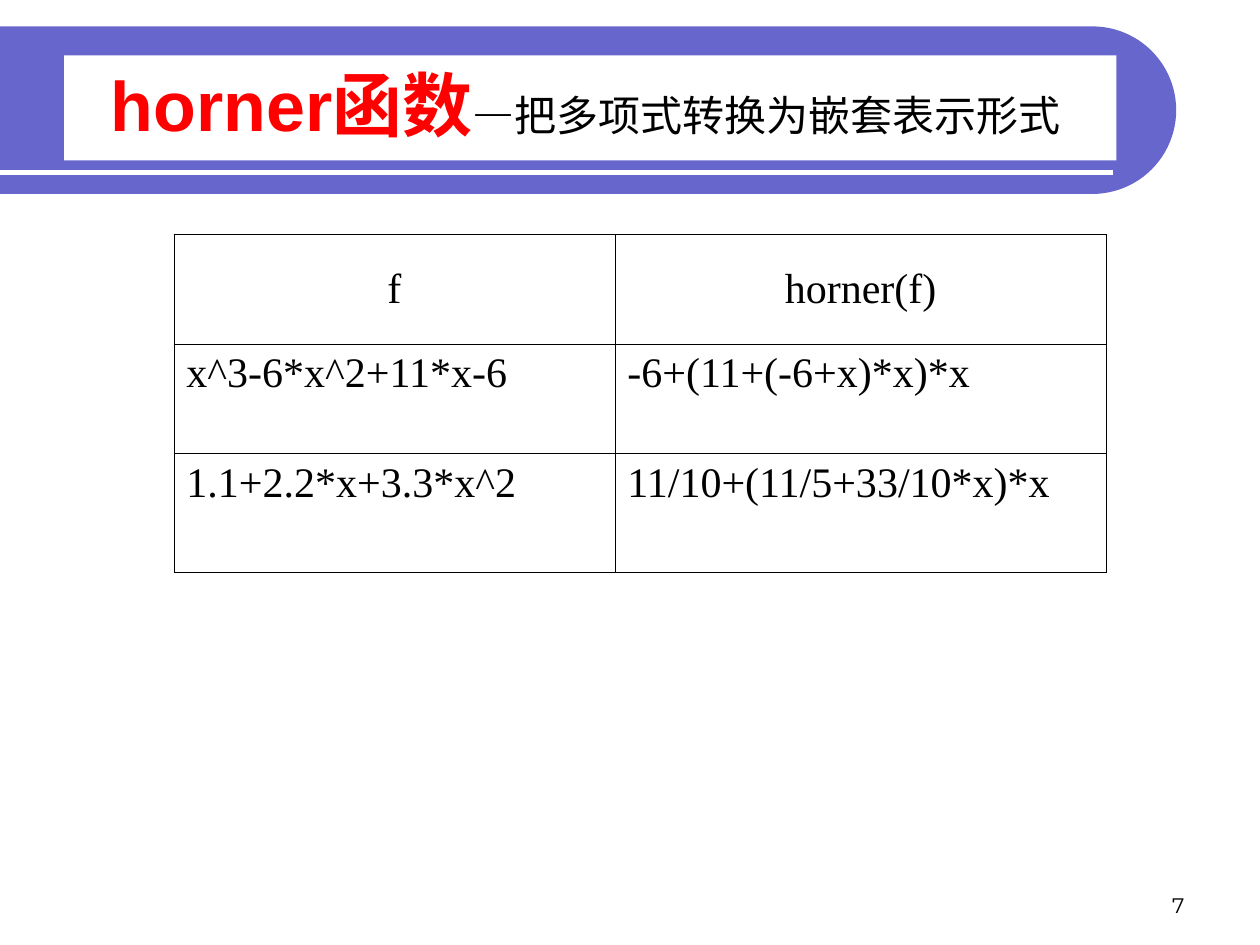
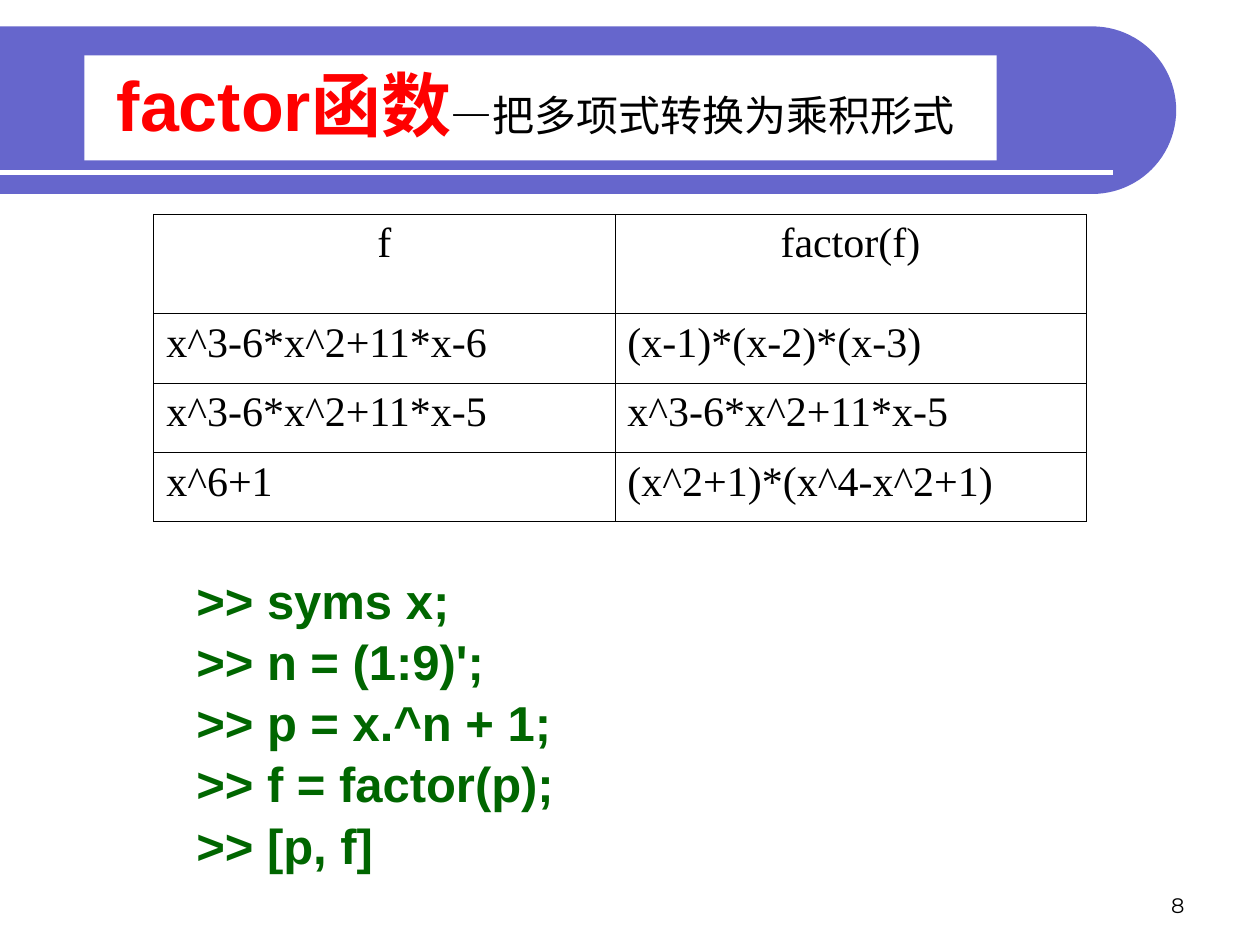
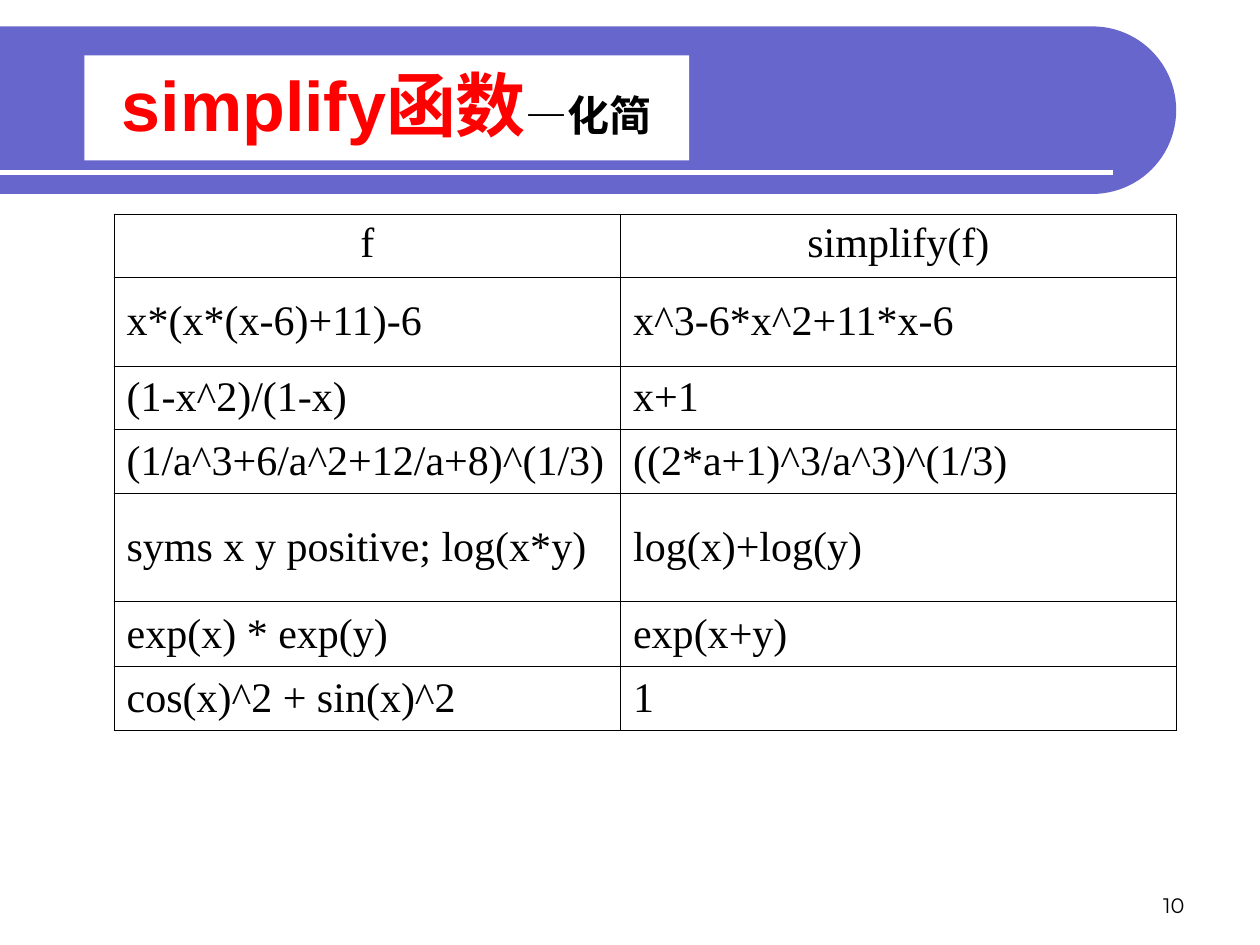
from dataclasses import dataclass
from math import cos, pi, sin

from lxml.etree import SubElement
from pptx import Presentation
from pptx.dml.color import RGBColor
from pptx.enum.shapes import MSO_CONNECTOR
from pptx.enum.text import MSO_ANCHOR as Anchor, MSO_AUTO_SIZE as AutoSize, PP_ALIGN as Align
from pptx.oxml.ns import qn
from pptx.util import Emu, Inches, Pt

WIDTH, HEIGHT = Inches(10), Inches(7.5)
COLUMN, ROW = WIDTH / 100, HEIGHT / 75
COLORS = {"band": "6666CC", "paper": "FFFFFF", "function": "FF0000", "ink": "000000", "code": "006600"}
SANS, SERIF, NUMBER_FONT = "Arial", "Times New Roman", "Montserrat"


@dataclass(frozen=True)
class Box:
    """A rectangle in grid columns and rows."""
    left: float
    top: float
    width: float
    height: float

    def emu(self) -> tuple:
        """Return left, top, width and height in EMU."""
        return cols(self.left), rows(self.top), cols(self.width), rows(self.height)


@dataclass(frozen=True)
class Grid:
    """A two-column table of expressions and their results."""
    left: float
    top: float
    columns: tuple
    heights: tuple
    cells: tuple
    header_anchor: Anchor = Anchor.TOP
    body_anchor: Anchor = Anchor.TOP


@dataclass(frozen=True)
class Topic:
    """One slide about one function."""
    number: int
    function: str
    purpose: str
    title_left: float
    title_width: float
    grid: Grid
    bold_purpose: bool = False
    code: tuple = ()


TOPICS = (
    Topic(7, "horner", "把多项式转换为嵌套表示形式 ", 5.1, 83.5,
          Grid(13.8, 18.6, (35, 39), (8.7, 8.7, 9.4), (
              ("f", "horner(f)"),
              ("x^3-6*x^2+11*x-6", "-6+(11+(-6+x)*x)*x"),
              ("1.1+2.2*x+3.3*x^2", "11/10+(11/5+33/10*x)*x")),
              header_anchor=Anchor.MIDDLE)),
    Topic(8, "factor", "把多项式转换为乘积形式 ", 6.7, 72.4,
          Grid(12.2, 17, (36.6, 37.4), (7.9, 5.5, 5.5, 5.5), (
              ("f", "factor(f)"),
              ("x^3-6*x^2+11*x-6", "(x-1)*(x-2)*(x-3)"),
              ("x^3-6*x^2+11*x-5", "x^3-6*x^2+11*x-5"),
              ("x^6+1", "(x^2+1)*(x^4-x^2+1)"))),
          code=(">> syms x;", ">> n = (1:9)';", ">> p = x.^n + 1;", ">> f = factor(p);", ">> [p, f]")),
    Topic(10, "simplify", "化简", 6.7, 48,
          Grid(9.05, 17, (40.2, 44.1), (5.04, 7, 5.04, 5.04, 8.6, 5.2, 5.04), (
              ("f", "simplify(f)"),
              ("x*(x*(x-6)+11)-6", "x^3-6*x^2+11*x-6"),
              ("(1-x^2)/(1-x)", "x+1"),
              ("(1/a^3+6/a^2+12/a+8)^(1/3)", "((2*a+1)^3/a^3)^(1/3)"),
              ("syms x y positive; log(x*y)", "log(x)+log(y)"),
              ("exp(x) * exp(y)", "exp(x+y)"),
              ("cos(x)^2 + sin(x)^2", "1")),
              body_anchor=Anchor.MIDDLE),
          bold_purpose=True),
)


def cols(count: float) -> Emu:
    """Convert grid columns to EMU."""
    return Emu(round(count * COLUMN))


def rows(count: float) -> Emu:
    """Convert grid rows to EMU."""
    return Emu(round(count * ROW))


def rgb(name: str) -> RGBColor:
    """Look up a named colour."""
    return RGBColor.from_string(COLORS[name])


def write(paragraph, text: str, *, size: float, font: str = SANS, color: str = "ink",
          bold: bool = False, align: Align = Align.LEFT) -> None:
    """Add a formatted run to a paragraph."""
    paragraph.alignment = align
    run = paragraph.add_run()
    run.text = text
    run.font.size, run.font.name, run.font.bold = Pt(size), font, bold
    run.font.color.rgb = rgb(color)


def build_layout(layout, slide) -> None:
    """Furnish the layout with the round-ended band and its rule."""
    for placeholder in list(layout.placeholders):
        if placeholder.placeholder_format.idx >= 10:
            layout.shapes.element.remove(placeholder.element)
    top, radius, straight, steps = 2.1, 6.65, 86.7, 48
    angles = [-pi / 2 + pi * step / steps for step in range(steps + 1)]
    arc = [(cols(straight + radius * cos(a)), rows(top + radius + radius * sin(a))) for a in angles]
    outline = slide.shapes.build_freeform(0, rows(top))
    outline.add_line_segments(arc + [(0, rows(top + 2 * radius))], close=True)
    band = outline.convert_to_shape()
    band.shadow.inherit = False
    band.fill.solid()
    band.fill.fore_color.rgb = rgb("band")
    band.line.fill.background()
    rule = slide.shapes.add_connector(MSO_CONNECTOR.STRAIGHT, 0, rows(13.7), cols(88.3), rows(13.7))
    rule.line.color.rgb, rule.line.width = rgb("paper"), Pt(3)
    SubElement(rule.element.spPr, qn("a:effectLst"))
    for part in (band, rule):
        layout.shapes.element.append(part.element)


def add_title(slide, topic: Topic) -> None:
    """Fill the title with the function and its purpose."""
    title = slide.shapes.title
    title.left, title.top, title.width, title.height = Box(topic.title_left, 4.4, topic.title_width, 7.7).emu()
    title.fill.solid()
    title.fill.fore_color.rgb = rgb("paper")
    frame = title.text_frame
    frame.word_wrap, frame.auto_size, frame.vertical_anchor = True, AutoSize.SHAPE_TO_FIT_TEXT, Anchor.TOP
    heading = frame.paragraphs[0]
    write(heading, f"{topic.function}函数", size=40, color="function", bold=True, align=Align.CENTER)
    write(heading, "—", size=24, bold=True, align=Align.CENTER)
    write(heading, topic.purpose, size=24, bold=topic.bold_purpose, align=Align.CENTER)


def add_lines(slide, box: Box, lines: tuple, *, anchor: Anchor = Anchor.TOP,
              spacing: float = 1.0, **style) -> None:
    """Add a text box with one paragraph per line."""
    frame = slide.shapes.add_textbox(*box.emu()).text_frame
    frame.word_wrap, frame.vertical_anchor = True, anchor
    for index, line in enumerate(lines):
        paragraph = frame.add_paragraph() if index else frame.paragraphs[0]
        paragraph.line_spacing = spacing
        write(paragraph, line, **style)


def rule_cell(cell) -> None:
    """Give a cell thin black borders and no fill."""
    properties = cell._tc.get_or_add_tcPr()
    for side in ("lnL", "lnR", "lnT", "lnB"):
        border = SubElement(properties, qn(f"a:{side}"), w=str(Pt(0.45)))
        fill = SubElement(border, qn("a:solidFill"))
        SubElement(fill, qn("a:srgbClr"), val=COLORS["ink"])
    cell.fill.background()


def add_grid(slide, grid: Grid) -> None:
    """Add the table of expressions."""
    box = Box(grid.left, grid.top, sum(grid.columns), sum(grid.heights))
    table = slide.shapes.add_table(len(grid.cells), len(grid.columns), *box.emu()).table
    table.first_row = table.horz_banding = False
    for column, width in zip(table.columns, grid.columns):
        column.width = cols(width)
    for row_index, (row, height, texts) in enumerate(zip(table.rows, grid.heights, grid.cells)):
        row.height = rows(height)
        for cell, text in zip(row.cells, texts):
            cell.vertical_anchor = grid.body_anchor if row_index else grid.header_anchor
            rule_cell(cell)
            write(cell.text_frame.paragraphs[0], text, size=24, font=SERIF,
                  align=Align.LEFT if row_index else Align.CENTER)


def main() -> None:
    """Build the deck."""
    deck = Presentation()
    deck.slide_width, deck.slide_height = WIDTH, HEIGHT
    layout = deck.slide_layouts[5]
    for index, topic in enumerate(TOPICS):
        slide = deck.slides.add_slide(layout)
        if index == 0:
            build_layout(layout, slide)
        add_lines(slide, Box(71.7, 68.3, 23.3, 5), (str(topic.number),), anchor=Anchor.BOTTOM,
                  size=12, font=NUMBER_FONT, align=Align.RIGHT)
        add_title(slide, topic)
        if topic.code:
            add_lines(slide, Box(14.6, 44.6, 63, 24.4), topic.code, spacing=1.04,
                      size=28, color="code", bold=True)
        add_grid(slide, topic.grid)
    deck.save("out.pptx")


if __name__ == "__main__":
    main()
